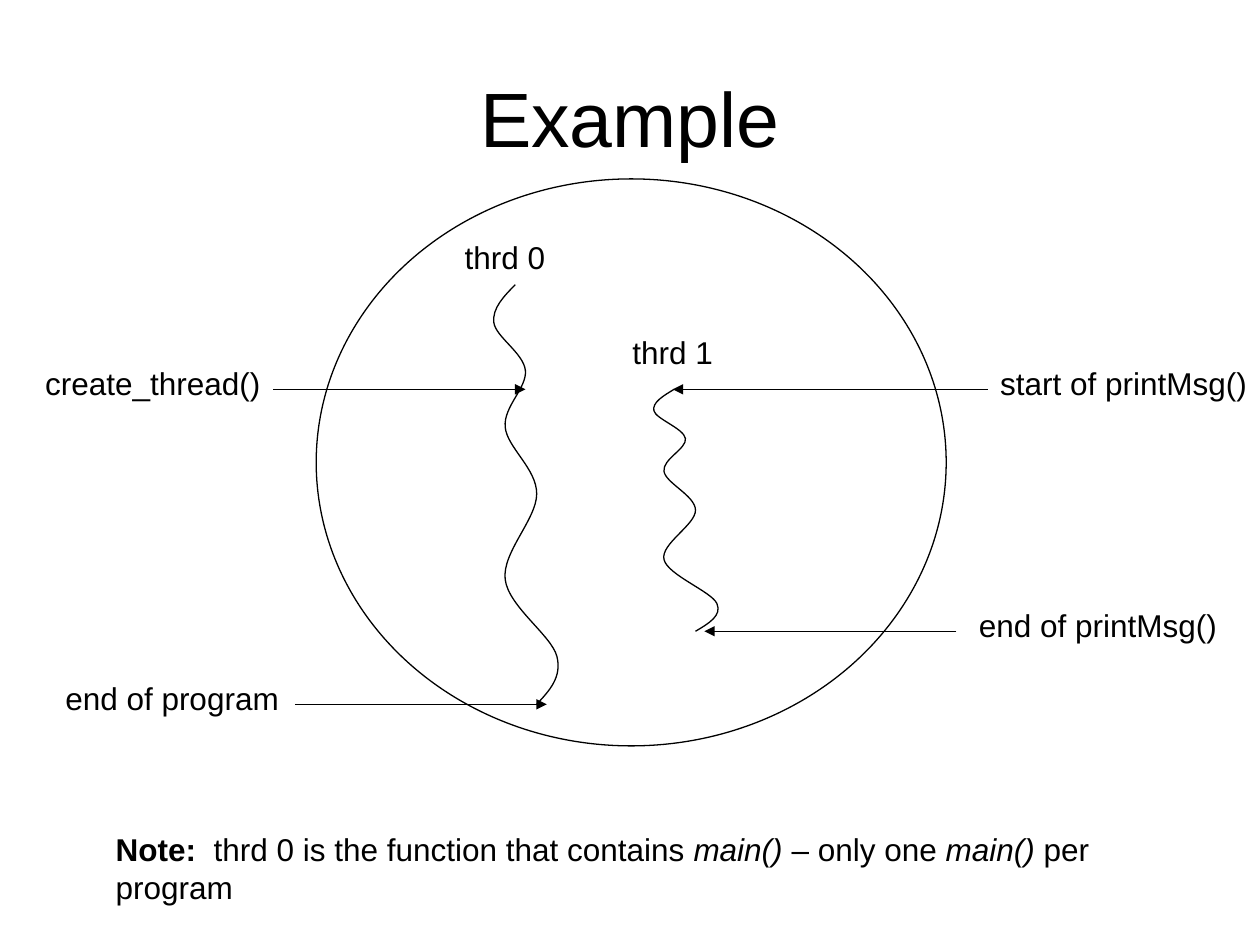
from itertools import chain

from lxml.etree import SubElement
from pptx import Presentation
from pptx.dml.color import RGBColor
from pptx.enum.shapes import MSO_CONNECTOR, MSO_SHAPE
from pptx.enum.text import MSO_ANCHOR, PP_ALIGN
from pptx.oxml.ns import qn
from pptx.util import Inches, Pt

COLORS = {"ink": "000000", "paper": "FFFFFF"}
FONT = "Arial"
LINE_WIDTH = Pt(0.75)
LABEL_HEIGHT = 0.4


def ink_line(sp):
    """Give a shape or connector the thin dark outline."""
    sp.line.color.rgb = RGBColor.from_string(COLORS["ink"])
    sp.line.width = LINE_WIDTH


def add_text(s, box, runs, size=18, wrap=False, align=PP_ALIGN.LEFT, anchor=MSO_ANCHOR.TOP):
    """Place one paragraph of (text, format) runs in a box."""
    tf = s.shapes.add_textbox(*map(Inches, box)).text_frame
    tf.word_wrap = wrap
    tf.vertical_anchor = anchor
    p = tf.paragraphs[0]
    p.alignment = align
    for text, extra in runs:
        r = p.add_run()
        r.text = text
        r.font.color.rgb = RGBColor.from_string(COLORS["ink"])
        for name, value in {"name": FONT, "size": Pt(size), **extra}.items():
            setattr(r.font, name, value)


def add_arrow(s, start, end, y):
    """Draw a horizontal arrow pointing at end."""
    sp = s.shapes.add_connector(MSO_CONNECTOR.STRAIGHT, *map(Inches, (start, y, end, y)))
    ink_line(sp)
    SubElement(sp.line._get_or_add_ln(), qn("a:tailEnd"), type="triangle")
    SubElement(sp._element.spPr, qn("a:effectLst"))


def spline_points(knots):
    """Return the Bezier points after the first knot of a smooth curve."""
    def shifted(i, sign):
        return tuple(k + sign * (b - a) / 6
                     for a, k, b in zip(knots[i - 1], knots[i], knots[i + 1]))

    def middle(a, b):
        return tuple((m + n) / 2 for m, n in zip(a, b))

    last = len(knots) - 1
    points = []
    for i in range(last):
        leave = shifted(i, 1) if i else None
        arrive = shifted(i + 1, -1) if i + 1 < last else None
        leave = leave or middle(knots[i], arrive)
        arrive = arrive or middle(leave, knots[last])
        points += [leave, arrive, knots[i + 1]]
    return points


def add_thread(s, knots):
    """Draw a wavy thread through its knots as a curved freeform."""
    points = [tuple(map(Inches, pt)) for pt in chain(knots[:1], spline_points(knots))]
    builder = s.shapes.build_freeform(*points[0])
    builder.add_line_segments(points[1:], close=False)
    sp = builder.convert_to_shape()
    sp.shadow.inherit = False
    sp.fill.background()
    ink_line(sp)
    outline = next(sp._element.iter(qn("a:path")))
    segments = outline.findall(qn("a:lnTo"))
    for i in range(0, len(segments), 3):
        curve = SubElement(outline, qn("a:cubicBezTo"))
        for segment in segments[i:i + 3]:
            curve.append(segment[0])
            outline.remove(segment)


def add_process(s, box):
    """Draw the process circle with its two threads."""
    sp = s.shapes.add_shape(MSO_SHAPE.OVAL, *map(Inches, box))
    sp.shadow.inherit = False
    sp.fill.background()
    ink_line(sp)
    left, top = box[:2]
    threads = [
        ("thrd 0", (1.08, 0.42),
         [(1.58, 0.84), (1.41, 1.14), (1.66, 1.52), (1.5, 1.97),
          (1.75, 2.5), (1.5, 3.18), (1.91, 3.79), (1.75, 4.17)]),
        ("thrd 1", (2.41, 1.17),
         [(2.84, 1.67), (2.68, 1.84), (2.93, 2.06), (2.76, 2.32),
          (3.01, 2.63), (2.76, 3.02), (3.18, 3.37), (3.01, 3.59)]),
    ]
    for name, (x, y), knots in threads:
        add_thread(s, [(left + kx, top + ky) for kx, ky in knots])
        add_text(s, (left + x, top + y, 0.84, LABEL_HEIGHT), [(name, {})])


def add_event(s, box, text, start, end):
    """Place an event label with the arrow that marks its moment."""
    add_text(s, box, [(text, {})])
    add_arrow(s, start, end, box[1] + 0.25)


def add_note(s, box):
    """Place the closing note."""
    add_text(s, box, [
        ("Note:", {"bold": True}),
        ("  thrd 0 is the function that contains ", {}),
        ("main()", {"italic": True}),
        (" – only one ", {}),
        ("main()", {"italic": True}),
        (" per program", {}),
    ], wrap=True)


def main():
    """Build the slide and save it."""
    prs = Presentation()
    prs.slide_width, prs.slide_height = Inches(10), Inches(7.5)
    s = prs.slides.add_slide(prs.slide_layouts[6])
    s.background.fill.solid()
    s.background.fill.fore_color.rgb = RGBColor.from_string(COLORS["paper"])
    add_text(s, (0.5, 0.3, 9, 1.25), [("Example", {})], size=44, wrap=True,
             align=PP_ALIGN.CENTER, anchor=MSO_ANCHOR.MIDDLE)
    add_process(s, (2.51, 1.42, 5, 4.5))
    events = [
        ((0.26, 2.84, 1.91), "create_thread()", 2.17, 4.17),
        ((7.84, 2.84, 2.16), "start of printMsg()", 7.84, 5.34),
        ((7.67, 4.76, 2.09), "end of printMsg()", 7.59, 5.59),
        ((0.42, 5.34, 1.9), "end of program", 2.34, 4.34),
    ]
    for place, text, start, end in events:
        add_event(s, (*place, LABEL_HEIGHT), text, start, end)
    add_note(s, (0.82, 6.54, 8.92, LABEL_HEIGHT))
    prs.save("out.pptx")


if __name__ == "__main__":
    main()
